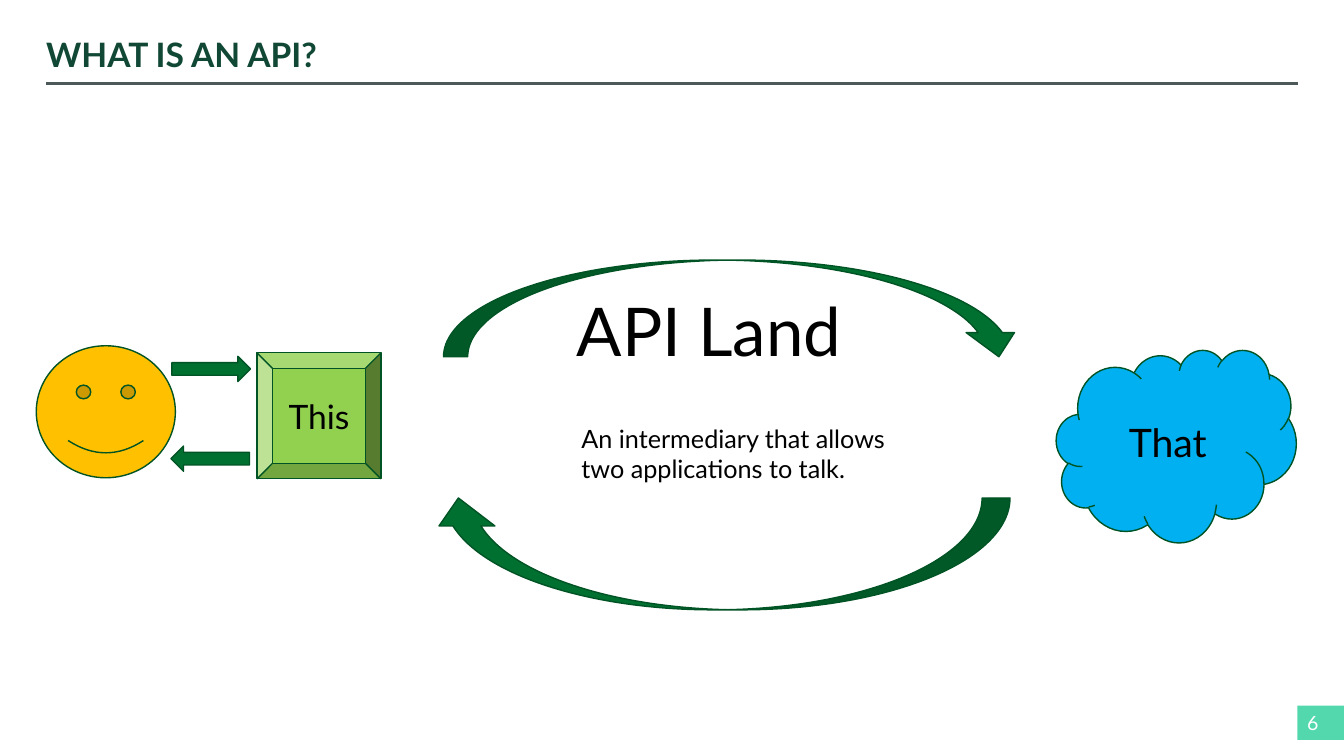
"""Build the slide that explains what an API is."""
from dataclasses import dataclass
from typing import Optional

import lxml.etree
import pptx
import pptx.dml.color
import pptx.enum.shapes
import pptx.enum.text
import pptx.oxml.ns
import pptx.util

Pt = pptx.util.Pt
Kind = pptx.enum.shapes.MSO_SHAPE
Align = pptx.enum.text.PP_ALIGN
Anchor = pptx.enum.text.MSO_ANCHOR


@dataclass(frozen=True)
class Theme:
    """Colours, font and type sizes of the slide."""
    font: str = "Lato"
    heading: str = "104735"
    rule: str = "4D5859"
    badge: str = "52D8AC"
    arrow: str = "007030"
    outline: str = "005324"
    cloud: str = "00B0F0"
    block: str = "92D050"
    face: str = "FFC000"
    ink: str = "000000"
    paper: str = "FFFFFF"
    small: int = 14
    body: int = 18
    title: int = 24
    label: int = 28
    display: int = 48


THEME = Theme()


@dataclass(frozen=True)
class Box:
    """Position and size in points."""
    left: float
    top: float
    width: float
    height: float

    def lengths(self) -> list[pptx.util.Length]:
        """Return the four lengths in drawing order."""
        return [Pt(v) for v in (self.left, self.top, self.width, self.height)]


@dataclass(frozen=True)
class Caption:
    """Wording and its formatting."""
    words: str
    size: int
    colour: str = THEME.ink
    bold: bool = False
    align: Align = Align.LEFT
    anchor: Anchor = Anchor.TOP
    line_spacing: float = 1.0


@dataclass(frozen=True)
class Figure:
    """A preset shape with an optional caption."""
    kind: Kind
    box: Box
    fill: str
    rotation: int = 0
    outline: Optional[str] = THEME.outline
    caption: Optional[Caption] = None


@dataclass(frozen=True)
class Note:
    """A caption in a free text box."""
    box: Box
    caption: Caption


def rgb(colour: str) -> pptx.dml.color.RGBColor:
    """Turn a hex string into a colour."""
    return pptx.dml.color.RGBColor.from_string(colour)


def write(frame, caption: Caption) -> None:
    """Write a caption into a text frame."""
    frame.word_wrap = True
    frame.vertical_anchor = caption.anchor
    paragraph = frame.paragraphs[0]
    paragraph.alignment = caption.align
    paragraph.line_spacing = caption.line_spacing
    run = paragraph.add_run()
    run.text = caption.words
    run.font.name = THEME.font
    run.font.size = Pt(caption.size)
    run.font.bold = caption.bold
    run.font.color.rgb = rgb(caption.colour)


def draw_figure(slide, figure: Figure) -> None:
    """Draw a preset shape."""
    shape = slide.shapes.add_shape(figure.kind, *figure.box.lengths())
    shape.shadow.inherit = False
    shape.rotation = figure.rotation
    shape.fill.solid()
    shape.fill.fore_color.rgb = rgb(figure.fill)
    if figure.outline:
        shape.line.color.rgb = rgb(figure.outline)
        shape.line.width = Pt(1)
    else:
        shape.line.fill.background()
    if figure.caption:
        write(shape.text_frame, figure.caption)


def draw_note(slide, note: Note) -> None:
    """Draw a text box."""
    write(slide.shapes.add_textbox(*note.box.lengths()).text_frame, note.caption)


def draw_rule(slide, left: float, right: float, height: float) -> None:
    """Draw the line below the title."""
    rule = slide.shapes.add_connector(
        pptx.enum.shapes.MSO_CONNECTOR.STRAIGHT,
        Pt(left), Pt(height), Pt(right), Pt(height))
    rule.line.color.rgb = rgb(THEME.rule)
    rule.line.width = Pt(2)
    lxml.etree.SubElement(rule._element.spPr, pptx.oxml.ns.qn("a:effectLst"))


def centred(words: str, size: int) -> Caption:
    """Return a caption centred both ways."""
    return Caption(words, size, align=Align.CENTER, anchor=Anchor.MIDDLE)


FIGURES = [
    Figure(Kind.RECTANGLE, Box(926.64, 504, 33.36, 24.48), THEME.badge, outline=None,
           caption=Caption("6", THEME.small, THEME.paper)),
    Figure(Kind.CURVED_DOWN_ARROW, Box(316.8, 185.76, 414, 69.12), THEME.arrow),
    Figure(Kind.CLOUD, Box(754.56, 249.84, 171.36, 137.52), THEME.cloud,
           caption=centred("That", THEME.label)),
    Figure(Kind.CURVED_DOWN_ARROW, Box(307.44, 355.68, 414, 79.92), THEME.arrow, 180),
    Figure(Kind.BEVEL, Box(183.6, 252, 88.56, 90), THEME.block,
           caption=centred("This", THEME.title)),
    Figure(Kind.SMILEY_FACE, Box(25.92, 246.96, 99.36, 94.32), THEME.face),
    Figure(Kind.DOWN_ARROW, Box(141.84, 235.44, 18, 56.16), THEME.arrow, 270),
    Figure(Kind.DOWN_ARROW, Box(141.12, 299.52, 18, 56.16), THEME.arrow, 90),
]

NOTES = [
    Note(Box(25.92, 23.76, 902.88, 45.36),
         Caption("WHAT IS AN API?", THEME.title, THEME.heading, True, line_spacing=0.9)),
    Note(Box(390.24, 203.04, 232.56, 65.52),
         Caption("API Land", THEME.display, align=Align.CENTER)),
    Note(Box(408.24, 298.8, 239.76, 51.12),
         Caption("An intermediary that allows two applications to talk.", THEME.body)),
]


def main() -> None:
    """Build and save the presentation."""
    deck = pptx.Presentation()
    deck.slide_width, deck.slide_height = Pt(960), Pt(540)
    slide = deck.slides.add_slide(deck.slide_layouts[6])
    draw_rule(slide, 33.12, 927.36, 59.76)
    for figure in FIGURES:
        draw_figure(slide, figure)
    for note in NOTES:
        draw_note(slide, note)
    deck.save("out.pptx")


if __name__ == "__main__":
    main()
